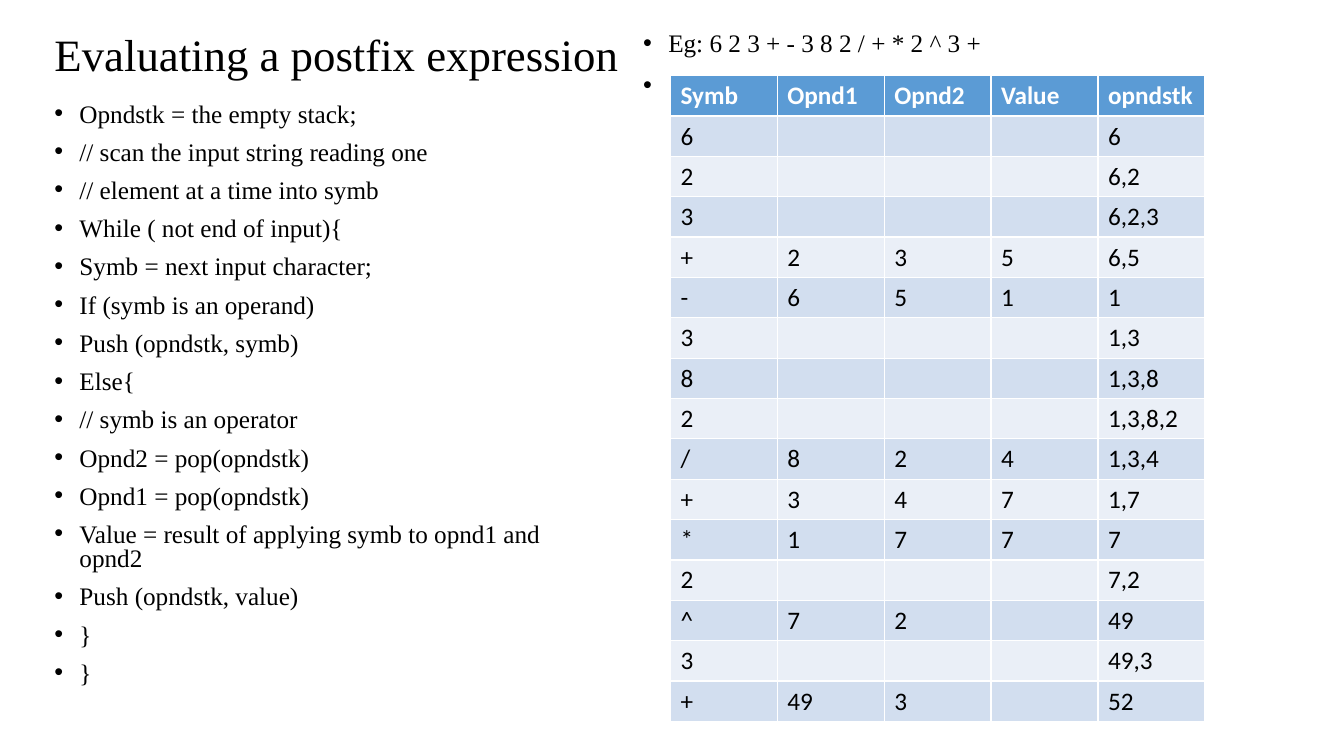
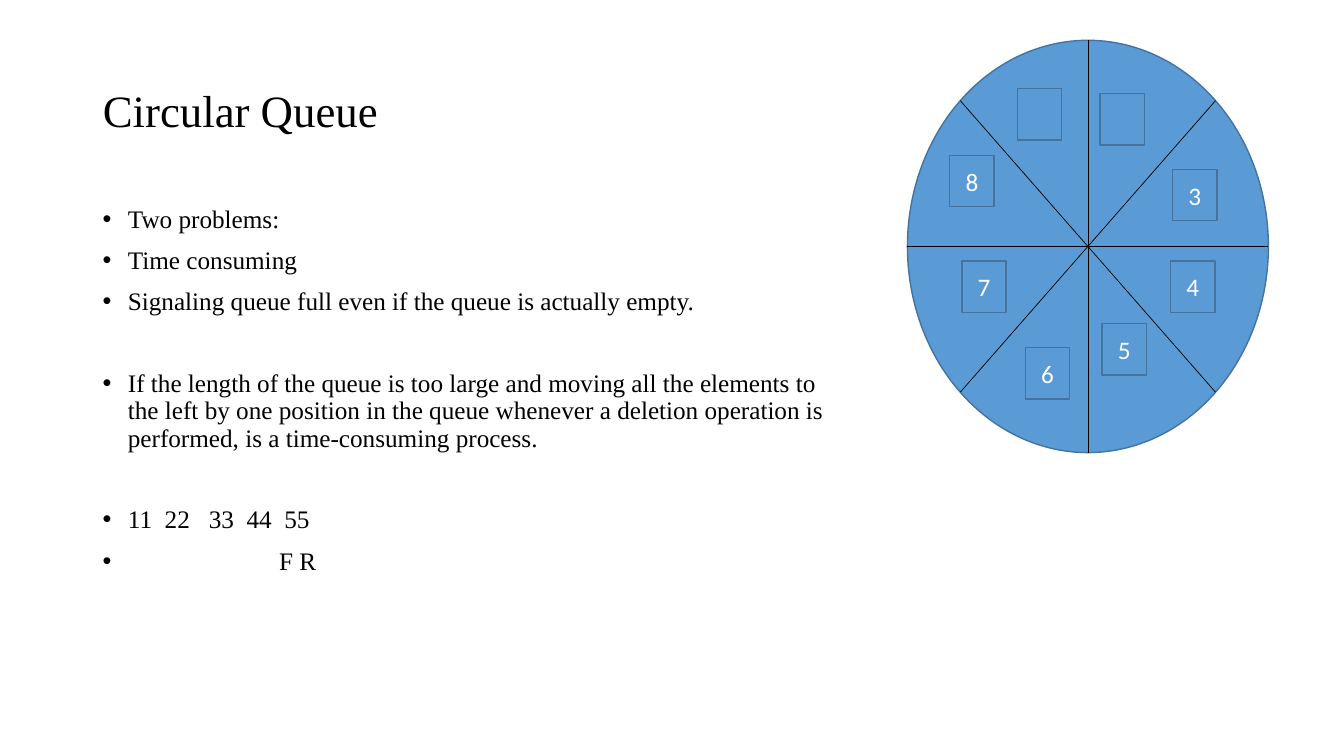
from pptx import Presentation
from pptx.dml.color import RGBColor
from pptx.enum.shapes import MSO_CONNECTOR as Connector, MSO_SHAPE as Shape
from pptx.enum.text import MSO_ANCHOR as Anchor, PP_ALIGN as Align
from pptx.oxml.ns import qn
from pptx.util import Inches, Pt
from lxml.etree import SubElement

BLACK = RGBColor(0x00, 0x00, 0x00)
WHITE = RGBColor(0xFF, 0xFF, 0xFF)
BLUE = RGBColor(0x5B, 0x9B, 0xD5)
DARK_BLUE = RGBColor(0x43, 0x73, 0x9E)
BANDS = [RGBColor(0xD2, 0xDE, 0xEF), RGBColor(0xEA, 0xEF, 0xF7)]
SERIF, SANS = "Times New Roman", "Calibri"
TEXT_SIZE, TITLE_SIZE = 18, 32


def add_span(para, text, color=BLACK, font=SERIF, size=TEXT_SIZE, bold=False):
    span = para.add_run()
    span.text = text
    span.font.name, span.font.size, span.font.bold = font, Pt(size), bold
    span.font.color.rgb = color


def add_bullets(page, area, items, spacing):
    """Each item is its text, the space before it in points, and its indent in inches."""
    box = page.shapes.add_textbox(*map(Inches, area))
    box.text_frame.word_wrap = True
    for number, (text, before, indent) in enumerate(items):
        para = box.text_frame.paragraphs[0] if number == 0 else box.text_frame.add_paragraph()
        para.line_spacing, para.space_before = spacing, Pt(before)
        properties = para._p.get_or_add_pPr()
        properties.set("marL", str(Inches(indent)))
        properties.set("indent", str(-Inches(indent)))
        SubElement(properties, qn("a:buFont")).set("typeface", "Arial")
        SubElement(properties, qn("a:buChar")).set("char", "•")
        add_span(para, text)


deck = Presentation()
deck.slide_width, deck.slide_height = Inches(13.33), Inches(7.5)

# Pages with their titles
pages = []
for heading, area in [("Evaluating a postfix expression", (0.44, 0.15, 11.5, 0.83)),
                      ("Circular Queue", (0.92, 0.4, 11.5, 1.45))]:
    page = deck.slides.add_slide(deck.slide_layouts[5])
    title = page.shapes.title
    title.left, title.top, title.width, title.height = map(Inches, area)
    title.text_frame.vertical_anchor = Anchor.MIDDLE
    para = title.text_frame.paragraphs[0]
    para.alignment, para.line_spacing = Align.LEFT, 0.9
    add_span(para, heading, size=TITLE_SIZE)
    pages.append(page)
postfix_page, queue_page = pages

# Postfix: the algorithm and the example
GAP, INDENT = 10, 0.25
algorithm = [
    "Opndstk = the empty stack;",
    "// scan the input string reading one",
    "// element at a time into symb",
    "While ( not end of input){",
    "Symb = next input character;",
    "If (symb is an operand)",
    "Push (opndstk, symb)",
    "Else{",
    "// symb is an operator",
    "Opnd2 = pop(opndstk)",
    "Opnd1 = pop(opndstk)",
    "Value = result of applying symb to opnd1 and opnd2",
    "Push (opndstk, value)",
    "}",
    "}",
]
example = ["Eg: 6 2 3 + - 3 8 2 / + * 2 ^ 3 +", " "]
add_bullets(postfix_page, (0.44, 0.98, 5.5, 6.19),
            [(line, GAP, INDENT) for line in algorithm], 0.8)
add_bullets(postfix_page, (6.28, 0.26, 6.23, 6.19),
            [(line, GAP, INDENT) for line in example], 0.9)

# Postfix: the trace table
trace = [
    ("Symb", "Opnd1", "Opnd2", "Value", "opndstk"),
    ("6", "", "", "", "6"),
    ("2", "", "", "", "6,2"),
    ("3", "", "", "", "6,2,3"),
    ("+", "2", "3", "5", "6,5"),
    ("-", "6", "5", "1", "1"),
    ("3", "", "", "", "1,3"),
    ("8", "", "", "", "1,3,8"),
    ("2", "", "", "", "1,3,8,2"),
    ("/", "8", "2", "4", "1,3,4"),
    ("+", "3", "4", "7", "1,7"),
    ("*", "1", "7", "7", "7"),
    ("2", "", "", "", "7,2"),
    ("^", "7", "2", "", "49"),
    ("3", "", "", "", "49,3"),
    ("+", "49", "3", "", "52"),
]
COLUMN, ROW = 1.06, 0.4
table = postfix_page.shapes.add_table(
    len(trace), len(trace[0]), Inches(6.65), Inches(0.75),
    Inches(COLUMN * len(trace[0])), Inches(ROW * len(trace))).table
for row, values in enumerate(trace):
    header = row == 0
    for column, value in enumerate(values):
        cell = table.cell(row, column)
        cell.fill.solid()
        cell.fill.fore_color.rgb = BLUE if header else BANDS[(row - 1) % 2]
        if value:
            add_span(cell.text_frame.paragraphs[0], value,
                     WHITE if header else BLACK, SANS, bold=header)

# Queue: the problems
WIDE_GAP = 39
problems = [
    ("Two problems:", GAP, INDENT),
    ("Time consuming", GAP, INDENT),
    ("Signaling queue full even if the queue is actually empty.", GAP, INDENT),
    ("If the length of the queue is too large and moving all the elements to the left by one "
     "position in the queue whenever a deletion operation is performed, is a "
     "time-consuming process.", WIDE_GAP, INDENT),
    ("11  22   33  44  55", WIDE_GAP, INDENT),
    ("F R", GAP, 1.75),
]
add_bullets(queue_page, (0.92, 2, 7.55, 4.76), problems, 0.9)

# Queue: the wheel and its slots
LEFT, TOP, WIDTH, HEIGHT = 9, 0.4, 3.58, 4.09
SLOT_WIDTH, SLOT_HEIGHT = 0.44, 0.51
wheel = (Shape.OVAL, LEFT, TOP, WIDTH, HEIGHT, "")
slots = [(Shape.RECTANGLE, left, top, SLOT_WIDTH, SLOT_HEIGHT, label) for left, top, label in [
    (10.09, 0.88, ""), (10.91, 0.93, ""), (11.63, 1.68, "3"), (11.61, 2.59, "4"),
    (10.93, 3.21, "5"), (10.17, 3.45, "6"), (9.54, 2.59, "7"), (9.42, 1.54, "8")]]
for kind, left, top, width, height, label in [wheel] + slots:
    shape = queue_page.shapes.add_shape(kind, *map(Inches, (left, top, width, height)))
    shape.shadow.inherit = False
    shape.fill.solid()
    shape.fill.fore_color.rgb = BLUE
    shape.line.color.rgb, shape.line.width = DARK_BLUE, Pt(1)
    if label:
        shape.text_frame.vertical_anchor = Anchor.MIDDLE
        para = shape.text_frame.paragraphs[0]
        para.alignment = Align.CENTER
        add_span(para, label, WHITE, SANS)

# Queue: the spokes, each through the centre, as shares of the two radii
DIAGONAL = 0.707
center_x, center_y = LEFT + WIDTH / 2, TOP + HEIGHT / 2
for share_x, share_y in [(0, 1), (DIAGONAL, DIAGONAL), (-DIAGONAL, DIAGONAL), (1, 0)]:
    reach_x, reach_y = share_x * WIDTH / 2, share_y * HEIGHT / 2
    spoke = queue_page.shapes.add_connector(
        Connector.STRAIGHT, Inches(center_x - reach_x), Inches(center_y - reach_y),
        Inches(center_x + reach_x), Inches(center_y + reach_y))
    spoke.line.color.rgb, spoke.line.width = BLACK, Pt(0.5)
    SubElement(spoke._element.spPr, qn("a:effectLst"))

deck.save("out.pptx")
